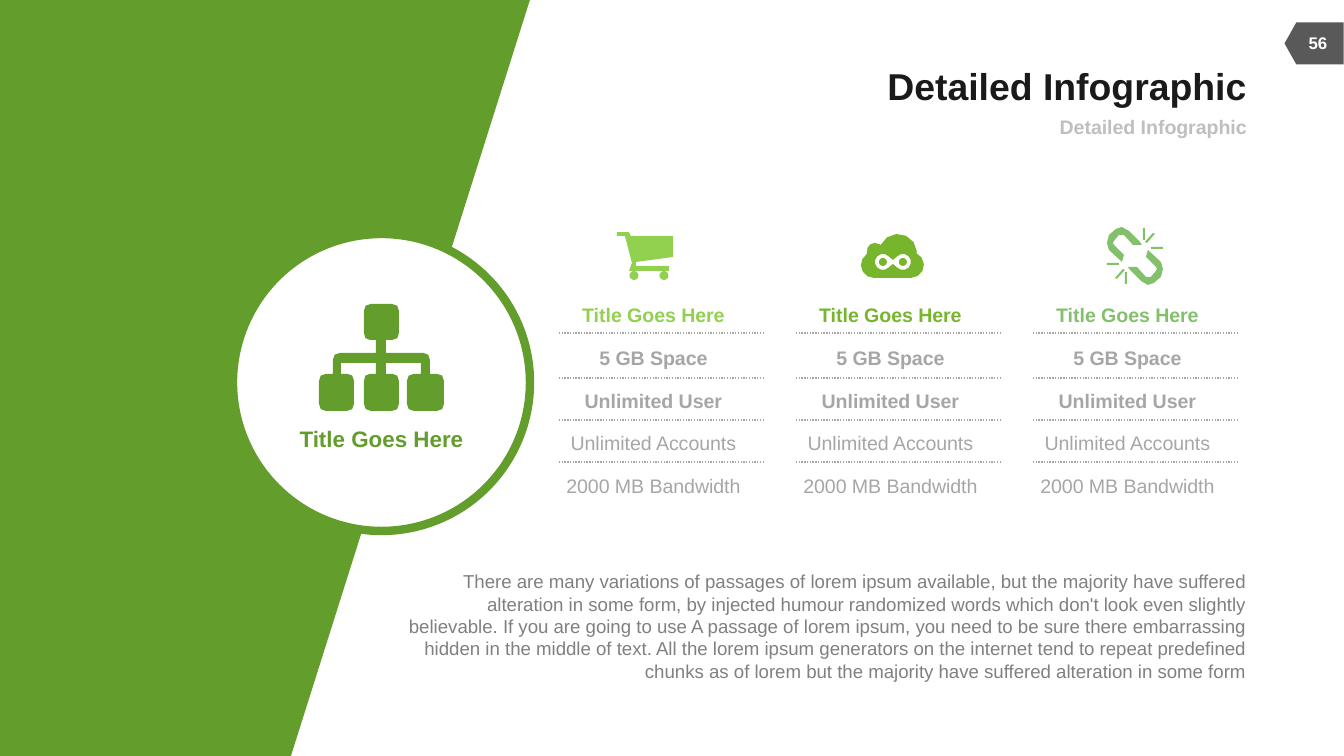
from math import cos, hypot, radians, sin

from lxml import etree
from pptx import Presentation
from pptx.dml.color import RGBColor
from pptx.enum.dml import MSO_LINE
from pptx.enum.shapes import MSO_CONNECTOR, MSO_SHAPE
from pptx.enum.text import MSO_ANCHOR, PP_ALIGN
from pptx.oxml.ns import qn
from pptx.util import Pt

EMU_PER_PX = 914400 / 134.4
FONT = "Arial"
CENTER, RIGHT = PP_ALIGN.CENTER, PP_ALIGN.RIGHT
TOP, MIDDLE = MSO_ANCHOR.TOP, MSO_ANCHOR.MIDDLE
OFFPAGE, ELLIPSE = MSO_SHAPE.FLOWCHART_OFFPAGE_CONNECTOR, MSO_SHAPE.OVAL
STRAIGHT = MSO_CONNECTOR.STRAIGHT
DOTTED = MSO_LINE.ROUND_DOT

GREEN, GRAY, WHITE = "639D2C", "A6A6A6", "FFFFFF"
LIME, LEAF, MINT = "92D050", "77B52D", "82C06C"
HEADING = "Title Goes Here"
FEATURES = [("5 GB Space", True), ("Unlimited User", True),
            ("Unlimited Accounts", False), ("2000 MB Bandwidth", False)]
RULES = [333, 378, 420, 462]
COLUMN_LEFT, COLUMN_STEP = 537, 237
BODY = (
    "There are many variations of passages of lorem ipsum available, but the "
    "majority have suffered alteration in some form, by injected humour "
    "randomized words which don't look even slightly believable. If you are "
    "going to use A passage of lorem ipsum, you need to be sure there "
    "embarrassing hidden in the middle of text. All the lorem ipsum generators "
    "on the internet tend to repeat predefined chunks as of lorem but the "
    "majority have suffered alteration in some form"
)

HIERARCHY = [
    (364, 304), (399, 304), (399, 340), (386, 340), (386, 353), (430, 353),
    (430, 374), (444, 374), (444, 411), (407, 411), (407, 374), (421, 374),
    (421, 363), (386, 363), (386, 374), (399, 374), (399, 411), (364, 411),
    (364, 374), (376, 374), (376, 363), (341, 363), (341, 374), (354, 374),
    (354, 411), (319, 411), (319, 374), (333, 374), (333, 353), (376, 353),
    (376, 340), (364, 340),
]
CART = [
    (617, 232), (629, 232), (631, 236), (673, 236), (673, 257), (636, 262),
    (636, 266), (669, 266), (669, 271), (629, 271), (632, 263), (625, 236),
    (617, 236),
]
LINK = [
    (1133, 245), (1124, 235), (1119, 235), (1114, 241), (1113, 243),
    (1114, 245), (1124, 255), (1122, 262), (1109, 250), (1107, 243),
    (1109, 235), (1116, 229), (1122, 227), (1129, 231), (1140, 242), (1142, 245),
]
RAYS = [
    [(1107, 263), (1119, 263), (1119, 265), (1107, 265)],
    [(1115, 278), (1123, 269), (1125, 270), (1117, 279)],
    [(1125, 272), (1127, 272), (1127, 284), (1125, 284)],
]


def px(value):
    return round(value * EMU_PER_PX)


def box(*lengths):
    return [px(length) for length in lengths]


def color(value):
    return RGBColor.from_string(value)


def paint(shape, fill):
    shape.shadow.inherit = False
    shape.fill.solid()
    shape.fill.fore_color.rgb = color(fill)
    shape.line.fill.background()


def arc(x, y, radius, start=0, end=360):
    steps = round((end - start) / 30)
    angles = [radians(start + (end - start) * step / steps)
              for step in range(steps + 1)]
    return [(x + radius * cos(angle), y + radius * sin(angle)) for angle in angles]


def toward(corner, neighbor, radius):
    length = hypot(neighbor[0] - corner[0], neighbor[1] - corner[1])
    share = min(radius / length, 0.5)
    return [a + (b - a) * share for a, b in zip(corner, neighbor)]


def rounded(corners, radius):
    points = []
    for index, corner in enumerate(corners):
        before, after = corners[index - 1], corners[(index + 1) % len(corners)]
        turn = ((corner[0] - before[0]) * (after[1] - corner[1])
                - (corner[1] - before[1]) * (after[0] - corner[0]))
        if turn <= 0:
            points.append(corner)
            continue
        start, end = toward(corner, before, radius), toward(corner, after, radius)
        middle = [(a + 2 * b + c) / 4 for a, b, c in zip(start, corner, end)]
        points += [start, middle, end]
    return points


def half_turn(contour, x, y):
    return [(2 * x - point[0], 2 * y - point[1]) for point in contour]


def add_outline(slide, contours, fill):
    first, *others = [[box(*point) for point in contour] for contour in contours]
    builder = slide.shapes.build_freeform(*first[0])
    builder.add_line_segments(first[1:], close=True)
    for contour in others:
        builder.move_to(*contour[0])
        builder.add_line_segments(contour[1:], close=True)
    paint(builder.convert_to_shape(), fill)


def style(paragraph, text, size, ink, bold, align):
    paragraph.text = text
    paragraph.alignment = align
    font = paragraph.font
    font.name, font.size, font.bold = FONT, Pt(size), bold
    font.color.rgb = color(ink)


def prepare_frame(shape, anchor=TOP, inset=None, wrap=True):
    frame = shape.text_frame
    frame.word_wrap = wrap
    frame.vertical_anchor = anchor
    if inset is not None:
        frame.margin_left = frame.margin_right = inset
        frame.margin_top = frame.margin_bottom = inset
    return frame


def add_text(slide, place, text, size, ink, bold, align, anchor=TOP, inset=None):
    frame = prepare_frame(slide.shapes.add_textbox(*box(*place)), anchor, inset)
    style(frame.paragraphs[0], text, size, ink, bold, align)


def add_title(slide):
    title = slide.shapes.title
    title.left, title.top, title.width, title.height = box(418, 59, 829, 53)
    frame = prepare_frame(title, MIDDLE, 0, False)
    style(frame.paragraphs[0], "Detailed Infographic", 20, "1A1A1A", True, RIGHT)


def add_rule(shapes, left, right, y):
    rule = shapes.add_connector(STRAIGHT, *box(left, y, right, y))
    rule.line.color.rgb = color(GRAY)
    rule.line.width = Pt(0.75)
    rule.line.dash_style = DOTTED
    etree.SubElement(rule._element.spPr, qn("a:effectLst"))


def add_column(slide, left, accent):
    shapes = slide.shapes.add_group_shape().shapes
    frame = prepare_frame(shapes.add_textbox(*box(left, 285, 233, 222)))
    lines = [(HEADING, True, accent)] + [(text, bold, GRAY) for text, bold in FEATURES]
    for index, (text, bold, ink) in enumerate(lines):
        paragraph = frame.add_paragraph() if index else frame.paragraphs[0]
        style(paragraph, text, 10.5, ink, bold, CENTER)
        paragraph.line_spacing = 1.5
        paragraph.space_before = Pt(4)
    for y in RULES:
        add_rule(shapes, left + 22, left + 227, y)


def add_icons(slide):
    add_outline(slide, [rounded(HIERARCHY, 7)], GREEN)
    wheels = [arc(x, 275.5, 4.5) for x in (634, 664)]
    add_outline(slide, [CART] + wheels, LIME)
    cloud = (arc(874, 265, 13, 90, 235) + arc(875, 251, 8, 170, 300)
             + arc(898, 253, 19, 205, 355) + arc(911, 265, 13, 295, 450))
    infinity = (arc(883, 262, 8, 45, 315) + [(893, 260)]
                + arc(903, 262, 8, 225, 495) + [(893, 264)])
    eyes = [arc(x, 262, 4) for x in (883, 903)]
    add_outline(slide, [cloud, infinity] + eyes, LEAF)
    half = [LINK] + RAYS
    add_outline(slide, half + [half_turn(part, 1135, 256) for part in half], MINT)


def main():
    presentation = Presentation()
    presentation.slide_width, presentation.slide_height = box(1344, 756)
    slide = presentation.slides.add_slide(presentation.slide_layouts[5])

    page_tag = slide.shapes.add_shape(OFFPAGE, *box(1293, 14, 42, 59))
    page_tag.rotation = 90
    paint(page_tag, "595959")
    add_outline(slide, [[(0, 0), (530, 0), (291, 756), (0, 756)]], GREEN)
    add_title(slide)
    add_text(slide, (642, 112, 605, 30), "Detailed Infographic", 10.5, "BFBFBF",
             True, RIGHT, MIDDLE, 0)
    add_text(slide, (1290, 23, 56, 40), "56", 9, WHITE, True, CENTER, MIDDLE)

    circle = slide.shapes.add_shape(ELLIPSE, *box(233, 234, 297, 297))
    paint(circle, WHITE)
    circle.line.color.rgb = color(GREEN)
    circle.line.width = Pt(4.5)

    for index, accent in enumerate((LIME, LEAF, MINT)):
        add_column(slide, COLUMN_LEFT + index * COLUMN_STEP, accent)
    add_icons(slide)
    add_text(slide, (285, 419, 193, 40), HEADING, 12, GREEN, True, CENTER)
    add_text(slide, (397, 570, 848, 113), BODY, 10, "808080", False, RIGHT, inset=0)
    presentation.save("out.pptx")


if __name__ == "__main__":
    main()
